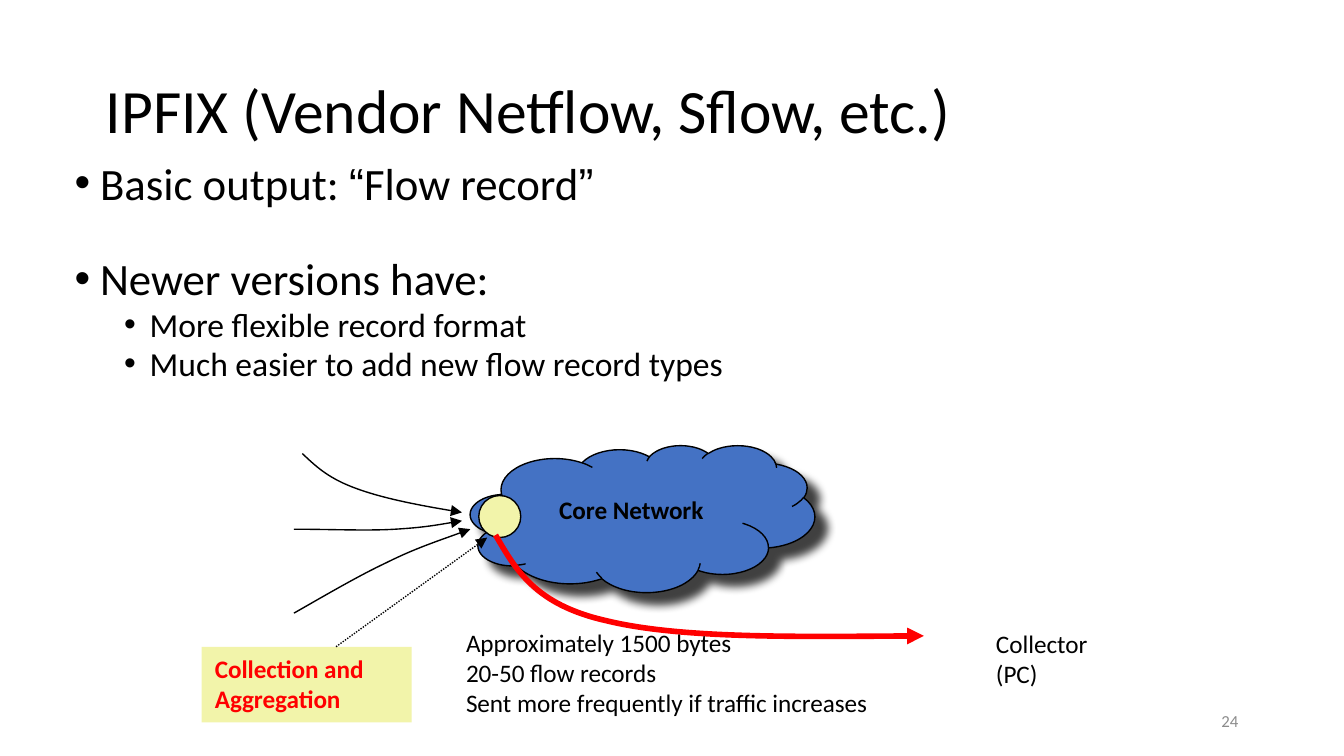
from typing import NamedTuple

from lxml.etree import SubElement
from pptx import Presentation
from pptx.dml.color import RGBColor
from pptx.enum.dml import MSO_LINE
from pptx.enum.shapes import MSO_CONNECTOR, MSO_SHAPE
from pptx.enum.text import MSO_ANCHOR, MSO_AUTO_SIZE, PP_ALIGN
from pptx.oxml.ns import qn
from pptx.util import Emu, Inches, Pt

COLUMNS, ROWS = 160, 90
CELL = Inches(10) / COLUMNS


class Theme:
    font, quote_font = "Calibri", "Arial"
    black, red, grey = RGBColor(0, 0, 0), RGBColor(255, 0, 0), RGBColor(0x8C, 0x8C, 0x8C)
    blue, yellow = RGBColor(0x44, 0x72, 0xC4), RGBColor(0xF2, 0xF4, 0xAA)
    title, bullet, sub_bullet, label, number = 33, 24, 18, 13.5, 9
    thin, thick = 0.75, 3


class Area(NamedTuple):
    """A place on the grid, in columns and rows."""
    left: float
    top: float
    width: float
    height: float

    def emu(self) -> list[Emu]:
        return [cells(value) for value in self]


class Bullet(NamedTuple):
    phrases: tuple[tuple[str, str], ...]
    size: float
    indent: float
    space_before: float


class Label(NamedTuple):
    area: Area
    lines: tuple[str, ...]
    size: float = Theme.label
    color: RGBColor = Theme.black
    bold: bool = False
    align: PP_ALIGN = PP_ALIGN.LEFT
    anchor: MSO_ANCHOR = MSO_ANCHOR.TOP


class Flow(NamedTuple):
    """A curved arrow: a start point, then three points per Bezier segment."""
    points: tuple[tuple[float, float], ...]
    color: RGBColor = Theme.black
    width: float = Theme.thin


TITLE_AREA = Area(11, 4.8, 138, 17.4)
BULLET_AREA = Area(7.3, 19, 126.7, 34)
CLOUD_AREA = Area(56, 53, 41, 17.5)
NODE_AREA = Area(57, 59, 5, 5)
AGGREGATION_AREA = Area(24, 77, 25, 9)

BULLETS = (
    Bullet((("Basic output: ", Theme.font), ("“", Theme.quote_font),
            ("Flow record", Theme.font), ("”", Theme.quote_font)),
           Theme.bullet, 0.19, 0),
    Bullet((("Newer versions have:", Theme.font),), Theme.bullet, 0.19, 28),
    Bullet((("More flexible record format", Theme.font),), Theme.sub_bullet, 0.56, 3.8),
    Bullet((("Much easier to add new flow record types", Theme.font),),
           Theme.sub_bullet, 0.56, 3.8),
)
CORE = Label(Area(65, 58, 23, 5.3), ("Core Network",), bold=True)
AGGREGATION = Label(AGGREGATION_AREA, ("Collection and Aggregation",),
                    color=Theme.red, bold=True)
OUTER_LABELS = (
    Label(Area(117, 74, 16, 9), ("Collector ", "(PC)")),
    Label(Area(53.9, 73.9, 55, 16.2),
          ("Approximately 1500 bytes", "20-50 flow records",
           "Sent more frequently if traffic increases")),
    Label(Area(113, 83.4, 36, 4.8), ("24",), Theme.number, Theme.grey,
          align=PP_ALIGN.RIGHT, anchor=MSO_ANCHOR.MIDDLE),
)
INCOMING = (
    Flow(((36, 54), (37.5, 55.4), (38.9, 56.8), (42, 58),
          (45.1, 59.2), (50, 60.2), (55, 61))),
    Flow(((35, 63), (39.4, 63), (43.7, 63.2), (47, 63),
          (50.4, 62.8), (52.6, 62.4), (55, 62))),
    Flow(((35, 73), (38.7, 70.9), (42.6, 68.6), (46, 67),
          (49.4, 65.3), (52.8, 64.2), (56, 63))),
)
EXPORT = Flow(((59, 63.7), (61.4, 67.8), (63.7, 72), (72.2, 73.9),
               (80.8, 76), (95.4, 75.8), (110, 75.7)), Theme.red, Theme.thick)


def cells(count: float) -> Emu:
    return Emu(round(count * CELL))


def add_run(paragraph, text: str, size: float, color: RGBColor = Theme.black,
            face: str = Theme.font, bold: bool = False) -> None:
    run = paragraph.add_run()
    run.text = text
    run.font.name, run.font.size, run.font.bold = face, Pt(size), bold
    run.font.color.rgb = color


def style_line(line, color: RGBColor, width: float, arrow: bool = False) -> None:
    line.color.rgb, line.width = color, Pt(width)
    if arrow:
        SubElement(line._get_or_add_ln(), qn("a:tailEnd"), type="triangle")


def write_label(shape, label: Label) -> None:
    frame = shape.text_frame
    frame.word_wrap, frame.vertical_anchor = True, label.anchor
    for index, line in enumerate(label.lines):
        paragraph = frame.add_paragraph() if index else frame.paragraphs[0]
        paragraph.alignment = label.align
        add_run(paragraph, line, label.size, label.color, bold=label.bold)


def add_label(shapes, label: Label) -> None:
    write_label(shapes.add_textbox(*label.area.emu()), label)


def add_block(shapes, kind: MSO_SHAPE, area: Area, fill: RGBColor, outlined: bool = True):
    block = shapes.add_shape(kind, *area.emu())
    block.fill.solid()
    block.fill.fore_color.rgb = fill
    if outlined:
        style_line(block.line, Theme.black, Theme.thin)
    else:
        block.line.fill.background()
    block.shadow.inherit = False
    return block


def add_drop_shadow(shape) -> None:
    effects = shape._element.spPr.find(qn("a:effectLst"))
    shadow = SubElement(effects, qn("a:outerShdw"), blurRad=str(Pt(5)),
                        dist=str(Pt(8.5)), dir=str(45 * 60000))
    color = SubElement(shadow, qn("a:srgbClr"), val=str(Theme.black))
    SubElement(color, qn("a:alpha"), val="75000")


def add_flow(shapes, flow: Flow) -> None:
    start, *rest = [(cells(x), cells(y)) for x, y in flow.points]
    builder = shapes.build_freeform(*start)
    builder.add_line_segments(rest, close=False)
    curve = builder.convert_to_shape()
    outline = next(curve._element.iter(qn("a:path")))
    segments = outline.findall(qn("a:lnTo"))
    for first in range(0, len(segments), 3):
        bezier = SubElement(outline, qn("a:cubicBezTo"))
        for segment in segments[first:first + 3]:
            bezier.append(segment[0])
            outline.remove(segment)
    curve.fill.background()
    style_line(curve.line, flow.color, flow.width, arrow=True)
    curve.shadow.inherit = False


def add_bullets(shapes) -> None:
    frame = shapes.add_textbox(*BULLET_AREA.emu()).text_frame
    frame.word_wrap = True
    for index, bullet in enumerate(BULLETS):
        paragraph = frame.add_paragraph() if index else frame.paragraphs[0]
        properties = paragraph._p.get_or_add_pPr()
        properties.set("marL", str(Inches(bullet.indent)))
        properties.set("indent", str(-Inches(0.19)))
        SubElement(properties, qn("a:buFont"), typeface=Theme.quote_font)
        SubElement(properties, qn("a:buChar"), char="•")
        paragraph.line_spacing = 0.8
        if index:
            paragraph.space_before = Pt(bullet.space_before)
        for text, face in bullet.phrases:
            add_run(paragraph, text, bullet.size, face=face)


def fill_title(title) -> None:
    title.left, title.top, title.width, title.height = TITLE_AREA.emu()
    frame = title.text_frame
    frame.auto_size = MSO_AUTO_SIZE.NONE
    frame.vertical_anchor = MSO_ANCHOR.MIDDLE
    heading = frame.paragraphs[0]
    heading.alignment, heading.line_spacing = PP_ALIGN.LEFT, 0.9
    add_run(heading, "IPFIX (Vendor Netflow, Sflow, etc.)", Theme.title)


def main() -> None:
    deck = Presentation()
    deck.slide_width, deck.slide_height = cells(COLUMNS), cells(ROWS)
    slide = deck.slides.add_slide(deck.slide_layouts.get_by_name("Title Only"))
    shapes = slide.shapes
    fill_title(shapes.title)
    add_bullets(shapes)

    add_drop_shadow(add_block(shapes, MSO_SHAPE.CLOUD, CLOUD_AREA, Theme.blue))
    add_label(shapes, CORE)
    add_block(shapes, MSO_SHAPE.OVAL, NODE_AREA, Theme.yellow)
    for flow in INCOMING:
        add_flow(shapes, flow)

    aggregation = add_block(shapes, MSO_SHAPE.RECTANGLE, AGGREGATION_AREA,
                            Theme.yellow, outlined=False)
    write_label(aggregation, AGGREGATION)
    pointer = shapes.add_connector(MSO_CONNECTOR.STRAIGHT, cells(40), cells(77),
                                   cells(58), cells(64))
    pointer.line.dash_style = MSO_LINE.ROUND_DOT
    style_line(pointer.line, Theme.black, Theme.thin, arrow=True)
    SubElement(pointer._element.spPr, qn("a:effectLst"))

    add_flow(shapes, EXPORT)
    for label in OUTER_LABELS:
        add_label(shapes, label)
    deck.save("out.pptx")


if __name__ == "__main__":
    main()
